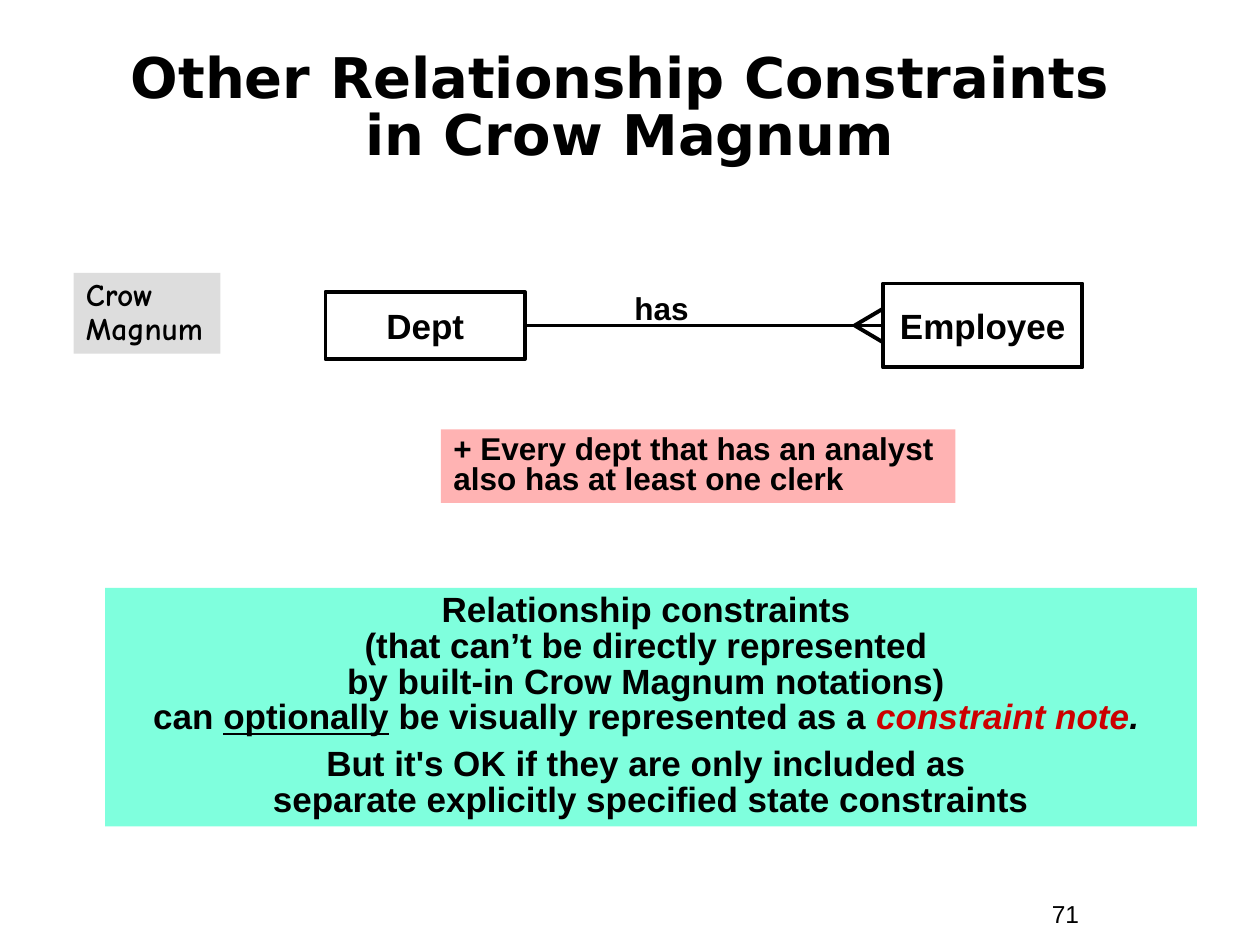
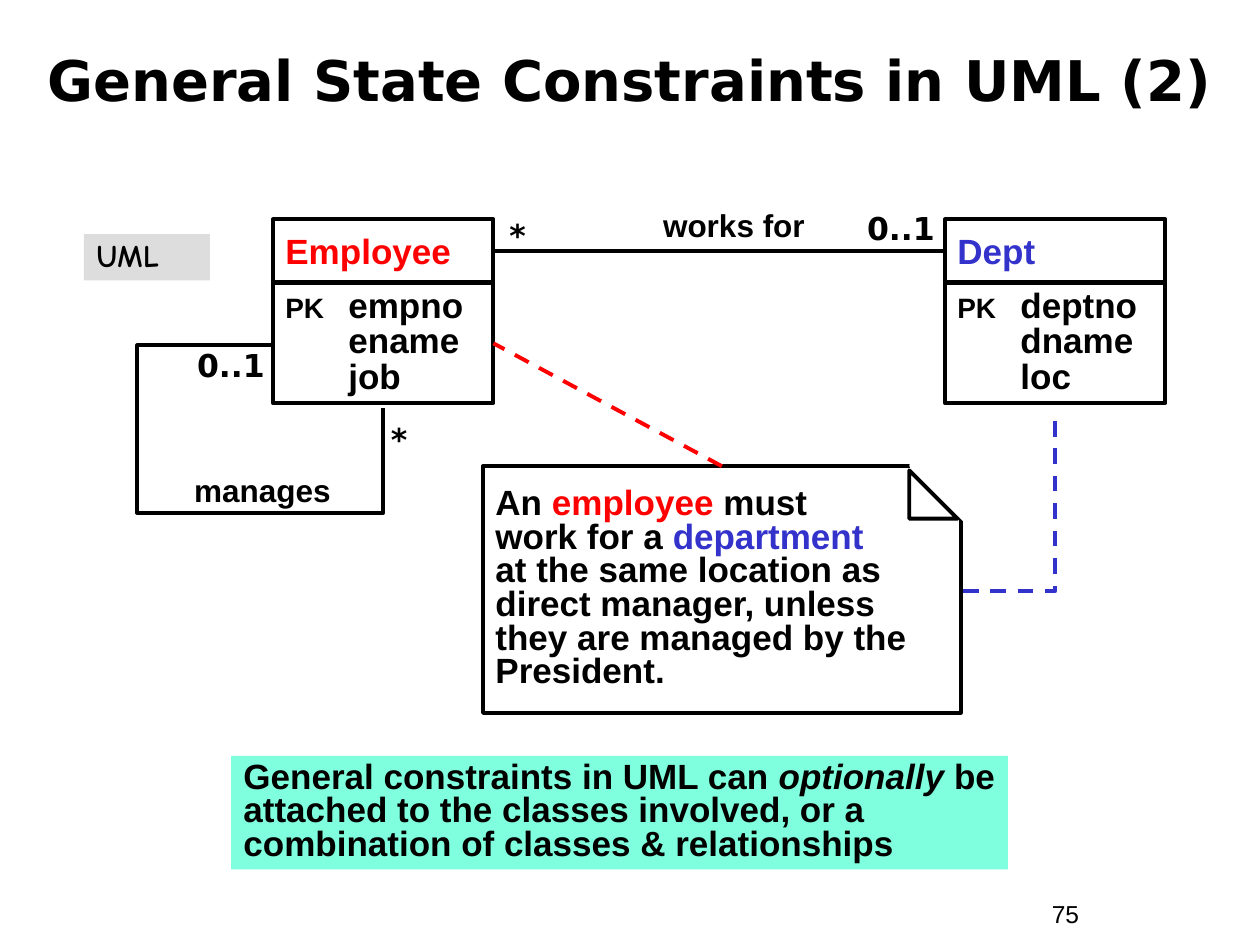
from dataclasses import dataclass, field
from typing import NamedTuple

from lxml.etree import SubElement
from pptx import Presentation
from pptx.dml.color import RGBColor
from pptx.enum.dml import MSO_LINE
from pptx.enum.shapes import MSO_CONNECTOR, MSO_SHAPE
from pptx.enum.text import MSO_ANCHOR, PP_ALIGN
from pptx.oxml.ns import qn
from pptx.util import Inches, Pt

COLUMNS, ROWS = 120, 90
SLIDE_WIDTH, SLIDE_HEIGHT = Inches(10), Inches(7.5)
COLORS = {
    "black": "000000", "white": "FFFFFF", "mint": "7FFFDD", "pink": "FFB3B3",
    "grey": "DDDDDD", "crimson": "CC0000", "red": "FF0000", "blue": "3333CC",
}
BODY, HEADING, HAND = "Arial", "DejaVu Sans", "Comic Neue"
LINE_WIDTH = 2.25
TAB_COLUMNS = 6


class Span(NamedTuple):
    text: str
    color: str = "black"
    size: float | None = None
    formats: dict = {}


@dataclass
class Box:
    left: float
    top: float
    width: float
    height: float
    paras: list[list[Span]] = field(default_factory=list)
    font: str = BODY
    size: float = 20
    bold: bool = True
    align: PP_ALIGN = PP_ALIGN.LEFT
    anchor: MSO_ANCHOR = MSO_ANCHOR.TOP
    spacing: float = 1
    gap: float = 0
    fill: str | None = None
    line: str | None = None
    line_width: float = LINE_WIDTH
    shape: MSO_SHAPE = MSO_SHAPE.RECTANGLE
    rotation: float = 0
    tabbed: bool = False


@dataclass
class Link:
    start: tuple[float, float]
    end: tuple[float, float]
    color: str = "black"
    dashed: bool = False
    preset: str = "line"
    adjustments: tuple[int, ...] = ()


def across(columns: float) -> int:
    return round(SLIDE_WIDTH * columns / COLUMNS)


def down(rows: float) -> int:
    return round(SLIDE_HEIGHT * rows / ROWS)


def rgb(name: str) -> RGBColor:
    return RGBColor.from_string(COLORS[name])


def set_formats(target, formats: dict) -> None:
    for name, value in formats.items():
        setattr(target, name, value)


def add_span(para, span: Span, box: Box) -> None:
    for index, text in enumerate(span.text.split("\n")):
        if index:
            para.add_line_break()
        if text:
            run = para.add_run()
            run.text = text
            set_formats(run.font, {
                "name": box.font, "size": Pt(span.size or box.size),
                "bold": box.bold, **span.formats,
            })
            run.font.color.rgb = rgb(span.color)


def write_paras(frame, box: Box) -> None:
    set_formats(frame, {"word_wrap": True, "vertical_anchor": box.anchor})
    for index, spans in enumerate(box.paras):
        para = frame.add_paragraph() if index else frame.paragraphs[0]
        set_formats(para, {"alignment": box.align, "line_spacing": box.spacing})
        if index and box.gap:
            para.space_before = Pt(box.gap)
        if box.tabbed:
            tabs = SubElement(para._p.get_or_add_pPr(), qn("a:tabLst"))
            SubElement(tabs, qn("a:tab"), pos=str(across(TAB_COLUMNS)), algn="l")
        for span in spans:
            add_span(para, span, box)


def draw_box(page, box: Box):
    place = across(box.left), down(box.top), across(box.width), down(box.height)
    if box.fill or box.line:
        shape = page.shapes.add_shape(box.shape, *place)
        shape.shadow.inherit = False
        shape.rotation = box.rotation
        if box.fill:
            shape.fill.solid()
            shape.fill.fore_color.rgb = rgb(box.fill)
        else:
            shape.fill.background()
        if box.line:
            shape.line.color.rgb = rgb(box.line)
            shape.line.width = Pt(box.line_width)
        else:
            shape.line.fill.background()
    else:
        shape = page.shapes.add_textbox(*place)
    if box.paras:
        write_paras(shape.text_frame, box)
    return shape


def draw_link(page, link: Link):
    kind = MSO_CONNECTOR.STRAIGHT if link.preset == "line" else MSO_CONNECTOR.ELBOW
    (left, top), (right, bottom) = link.start, link.end
    connector = page.shapes.add_connector(
        kind, across(left), down(top), across(right), down(bottom))
    connector.line.color.rgb = rgb(link.color)
    connector.line.width = Pt(LINE_WIDTH)
    if link.dashed:
        connector.line.dash_style = MSO_LINE.DASH
    properties = connector._element.spPr
    SubElement(properties, qn("a:effectLst"))
    geometry = properties.find(qn("a:prstGeom"))
    geometry.set("prst", link.preset)
    if link.adjustments:
        guides = geometry.find(qn("a:avLst"))
        for index, value in enumerate(link.adjustments, 1):
            SubElement(guides, qn("a:gd"), name=f"adj{index}", fmla=f"val {value}")
    return connector


def join(page, first, first_side: int, second, second_side: int, **style) -> None:
    connector = draw_link(page, Link((0, 0), (1, 1), **style))
    connector.begin_connect(first, first_side)
    connector.end_connect(second, second_side)


def add_page(deck, number: str, title: Box):
    page = deck.slides.add_slide(deck.slide_layouts[6])
    draw_box(page, Box(99, 85, 11, 4.1, [[Span(number)]], size=14, bold=False))
    set_formats(title, {"font": HEADING, "size": 32, "align": PP_ALIGN.CENTER,
                        "anchor": MSO_ANCHOR.MIDDLE})
    draw_box(page, title)
    return page


def draw_label(page, left: float, top: float, text: str, width: float = 20,
               font: str = BODY, spacing: float = 1) -> None:
    draw_box(page, Box(left, top, width, 4.8, [[Span(text)]], font=font, size=18,
                       align=PP_ALIGN.CENTER, spacing=spacing))


def draw_multiplicity(page, left: float, top: float, text: str) -> None:
    draw_label(page, left, top, text, 10, HEADING, 0.9 if text == "*" else 1)


def draw_tag(page, left: float, top: float, width: float, height: float, text: str) -> None:
    draw_box(page, Box(left, top, width, height, [[Span(text)]], font=HAND, size=18,
                       spacing=0.9, fill="grey"))


def draw_entity(page, left: float, top: float, height: float, name: str):
    return draw_box(page, Box(left, top, 19, height, [[Span(name)]], line="black",
                              align=PP_ALIGN.CENTER, anchor=MSO_ANCHOR.MIDDLE))


def draw_class(page, left: float, name: str, color: str, attributes: list[str]):
    header = draw_box(page, Box(left, 20.9, 21, 6, [[Span(name, color)]],
                                line="black", anchor=MSO_ANCHOR.MIDDLE))
    key, *others = attributes
    paras = [[Span("PK", size=16), Span(f"\t{key}")]]
    paras += [[Span(f"\t{other}")] for other in others]
    body = draw_box(page, Box(left, 27, 21, 11.4, paras, line="black",
                              spacing=0.85, tabbed=True))
    return header, body


def build_crow_page(deck) -> None:
    page = add_page(deck, "71", Box(4, 5, 112, 11, [[Span(
        "Other Relationship Constraints \nin Crow Magnum")]], spacing=0.85))
    draw_box(page, Box(10, 56, 104, 22.7, [
        [Span("Relationship constraints \n(that can’t be directly represented \n"
              "by built-in Crow Magnum notations) \ncan "),
         Span("optionally", formats={"underline": True}),
         Span(" be visually represented as a "),
         Span("constraint note", "crimson", formats={"italic": True}),
         Span(". ", formats={"italic": True})],
        [Span("But it's OK if they are only included as \n"
              "separate explicitly specified state constraints")],
    ], align=PP_ALIGN.CENTER, spacing=0.85, gap=6.2, fill="mint"))
    draw_box(page, Box(42, 40.9, 49, 7, [[Span(
        "+ Every dept that has an analyst also has at least one clerk")]],
        size=18, anchor=MSO_ANCHOR.MIDDLE, spacing=0.8, fill="pink"))
    dept = draw_entity(page, 31, 27.8, 6.4, "Dept")
    employee = draw_entity(page, 84.1, 27, 8, "Employee")
    for offset in (-1.6, 1.6):
        draw_link(page, Link((81.4, 31), (84.1, 31 + offset)))
    join(page, dept, 3, employee, 1)
    draw_label(page, 53, 26.9, "has")
    draw_tag(page, 7, 26, 14, 7.7, "Crow\nMagnum")


def draw_note(page):
    note = draw_box(page, Box(46, 44.4, 45.5, 23.5, [[
        Span("An "), Span("employee", "red"), Span(" must \nwork for a "),
        Span("department \n", "blue"),
        Span("at the same location as direct manager, unless "
             "they are managed by the President."),
    ]], anchor=MSO_ANCHOR.MIDDLE, spacing=0.8, line="black"))
    fold = {"shape": MSO_SHAPE.RIGHT_TRIANGLE, "fill": "white"}
    draw_box(page, Box(87.1, 44.3, 5.3, 5.3, line="white", line_width=6,
                       rotation=180, **fold))
    draw_box(page, Box(86.6, 44.8, 4.6, 4.6, line="black", **fold))
    return note


def build_uml_page(deck) -> None:
    page = add_page(deck, "75", Box(2, 2, 116, 11, [[Span(
        "General State Constraints in UML (2)")]]))
    draw_box(page, Box(22, 72, 74, 10.8, [[
        Span("General constraints in UML can "),
        Span("optionally", formats={"italic": True}),
        Span(" be attached to the classes involved, or a combination of "
             "classes & relationships"),
    ]], spacing=0.8, fill="mint"))
    draw_tag(page, 8, 22.3, 12, 4.4, "UML")
    employee, employee_body = draw_class(
        page, 26, "Employee", "red", ["empno", "ename", "job"])
    dept, _ = draw_class(page, 90, "Dept", "blue", ["deptno", "dname", "loc"])
    join(page, employee, 3, dept, 1)
    note = draw_note(page)
    draw_link(page, Link((25.8, 32.9), (36.5, 38.9), preset="bentConnector4",
                         adjustments=(-119100, 265600)))
    for left, top, text in [(44.3, 20.4, "*"), (80.8, 19.3, "0..1"),
                            (17, 32.4, "0..1"), (33, 39.8, "*")]:
        draw_multiplicity(page, left, top, text)
    for left, top, text in [(59.9, 19.6, "works for"), (15, 44.8, "manages")]:
        draw_label(page, left, top, text, spacing=0.85)
    join(page, note, 0, employee_body, 3, color="red", dashed=True)
    draw_link(page, Link((91.7, 56.3), (100.5, 39), color="blue", dashed=True,
                         preset="bentConnector2"))


def main() -> None:
    deck = Presentation()
    set_formats(deck, {"slide_width": SLIDE_WIDTH, "slide_height": SLIDE_HEIGHT})
    build_crow_page(deck)
    build_uml_page(deck)
    deck.save("out.pptx")


if __name__ == "__main__":
    main()
